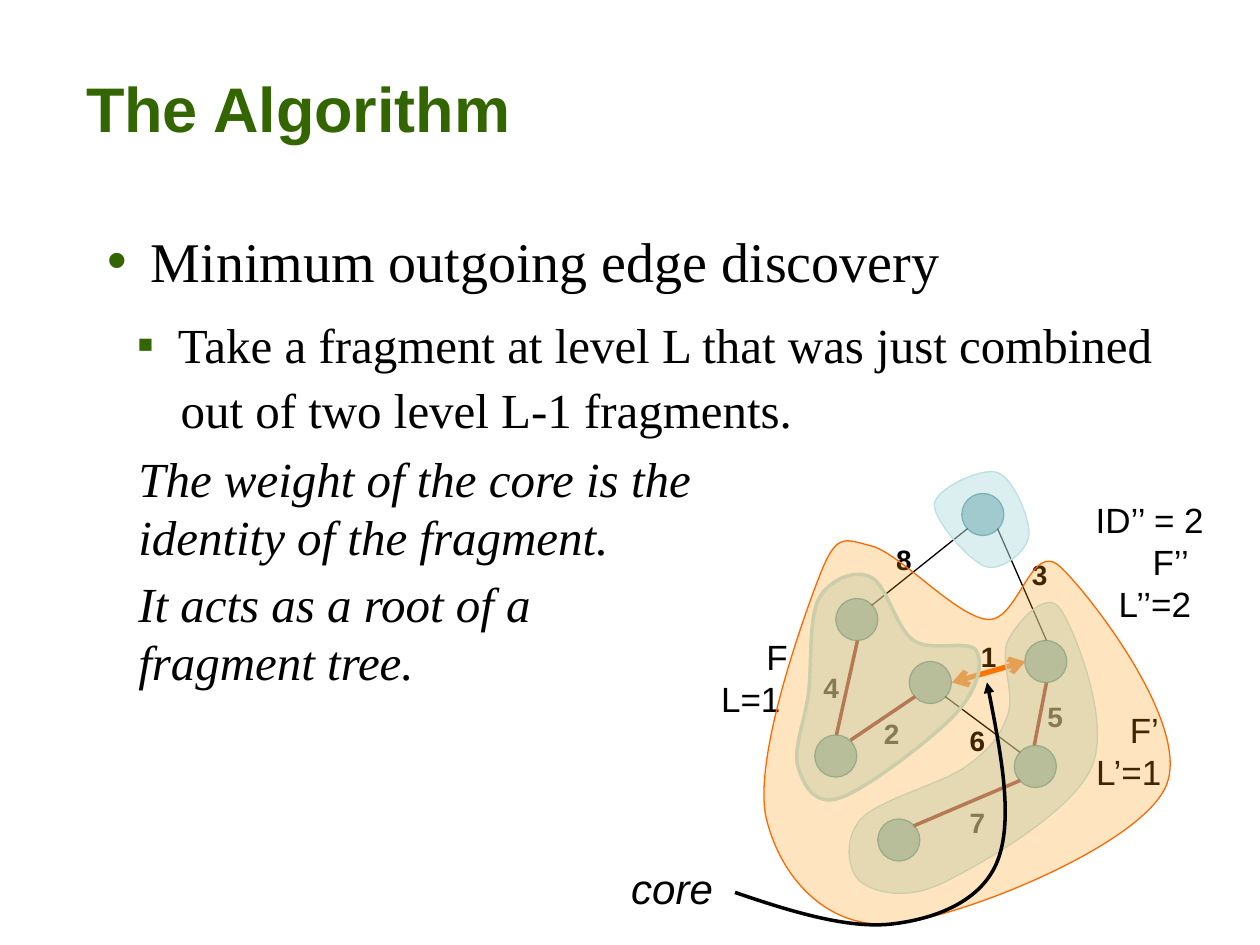
"""Build the slide on minimum outgoing edge discovery."""
from typing import NamedTuple, Optional

from lxml.etree import SubElement
from pptx import Presentation
from pptx.dml.color import RGBColor
from pptx.enum.shapes import MSO_CONNECTOR, MSO_SHAPE
from pptx.enum.text import MSO_ANCHOR, MSO_AUTO_SIZE, PP_ALIGN
from pptx.oxml.ns import qn
from pptx.util import Pt

GREEN = RGBColor(0x33, 0x66, 0x00)
BLACK = RGBColor(0x00, 0x00, 0x00)
TEAL = RGBColor(0x39, 0x85, 0x8B)
PALE = RGBColor(0xBB, 0xE0, 0xE3)
BROWN = RGBColor(0x80, 0x00, 0x00)
AMBER = RGBColor(0xFF, 0x99, 0x00)
ORANGE = RGBColor(0xFF, 0x66, 0x00)
SANS = "Arial"
SERIF = "Times New Roman"
NODE = 24


class Label(NamedTuple):
    text: str
    left: float
    top: float
    width: float = 18
    height: float = 30
    size: float = 16
    bold: bool = True
    italic: bool = False


class Edge(NamedTuple):
    start: tuple
    end: tuple
    color: RGBColor = BLACK
    width: float = 0.75
    arrow: bool = False


class Curve(NamedTuple):
    points: list
    line: RGBColor
    width: float = 0.75
    fill: Optional[RGBColor] = None
    alpha: int = 50


class Item(NamedTuple):
    text: str
    size: float
    mark: str
    left: float
    hang: float
    gap: float


NAMES = [
    Label("core", 342, 492, 84, 30, 24, False, True),
    Label("L=1", 399, 378, 60, 42, 20, False),
    Label("L’=1", 615, 420, 60, 42, 20, False),
    Label("F", 432, 360, 24, 30, 20, False),
    Label("F’", 636, 402, 36, 30, 20, False),
    Label("L’’=2", 624, 324, 72, 42, 20, False),
    Label("F’’", 651, 306, 36, 30, 20, False),
]
NODES = [(519.6, 378), (549.6, 282), (579.6, 426), (585.6, 366), (501.6, 468),
         (477.6, 342), (465.6, 420)]
EDGES = [
    Edge((498, 346), (553, 302)),
    Edge((544, 390), (586, 378), ORANGE, 3, True),
    Edge((598, 366), (570, 302)),
    Edge((523, 398), (486, 423), BROWN, 2),
    Edge((540, 398), (583, 430)),
    Edge((591, 426), (598, 390), BROWN, 2),
    Edge((583, 446), (522, 472), BROWN, 2),
    Edge((478, 420), (490, 366), BROWN, 2),
]
WEIGHTS = [
    Label("4", 466, 378), Label("3", 585, 313), Label("1", 556, 360), Label("7", 549.5, 455),
    Label("2", 500.5, 404), Label("5", 594, 394.5), Label("6", 549.5, 408),
]
PARTS = [
    Curve([(534, 288), (535, 279), (561, 267), (570, 270), (579, 273), (589, 297), (588, 306),
           (587, 315), (573, 326), (564, 324), (555, 322), (533, 297), (534, 288)],
          PALE, fill=PALE),
    Curve([(606, 348), (598, 336), (581, 356), (576, 366), (571, 376), (580, 396), (576, 408),
           (572, 420), (566, 428), (552, 438), (538, 448), (502, 457), (492, 468),
           (482, 479), (484, 498), (492, 504), (500, 510), (518, 515), (540, 504),
           (562, 493), (613, 464), (624, 438), (635, 412), (614, 360), (606, 348)],
          PALE, fill=PALE),
    Curve([(468, 342), (462, 353), (464, 380), (462, 396), (460, 412), (453, 428), (456, 438),
           (459, 448), (465, 461), (480, 456), (495, 451), (533, 422), (546, 408),
           (559, 394), (562, 379), (558, 372), (554, 365), (532, 373), (522, 366),
           (512, 359), (507, 335), (498, 330), (489, 325), (474, 331), (468, 342)],
          PALE, 2, PALE),
]
WHOLE = Curve([(468, 330), (478, 304), (482, 308), (498, 312), (514, 316), (546, 352), (564, 354),
               (582, 356), (589, 308), (606, 324), (623, 340), (682, 416), (666, 450),
               (650, 484), (548, 525), (510, 528), (472, 531), (446, 501), (438, 468),
               (430, 435), (458, 356), (468, 330)], ORANGE, fill=AMBER, alpha=25)
POINTER = Curve([(420, 510), (452, 521), (485, 531), (510, 528), (535, 525), (561, 515),
                 (570, 492), (579, 469), (572, 430), (564, 390)], BLACK, 2)
ITEMS = [
    Item("Minimum outgoing edge discovery", 32, "•", 25, 25, 0),
    Item("Take a fragment at level L that was just combined", 28, "▪", 40.5, 23.5, 11.5),
    Item("out of two level L-1 fragments.", 28, "", 42, 0, 4),
]


def write(para, text: str, size: float = 28, font: str = SERIF, color: RGBColor = BLACK,
          bold: bool = False, italic: bool = False, align=PP_ALIGN.LEFT) -> None:
    para.alignment = align
    run = para.add_run()
    run.text = text
    face = run.font
    face.size, face.name, face.bold, face.italic = Pt(size), font, bold, italic
    face.color.rgb = color


def place(shape, left: float, top: float, width: float, height: float) -> None:
    shape.left, shape.top, shape.width, shape.height = map(Pt, (left, top, width, height))
    frame = shape.text_frame
    frame.auto_size = MSO_AUTO_SIZE.NONE
    frame.word_wrap = True
    frame.vertical_anchor = MSO_ANCHOR.TOP
    frame.margin_left = frame.margin_right = Pt(7.2)
    frame.margin_top = Pt(3.6)


def list_item(para, item: Item) -> None:
    write(para, item.text, item.size)
    para.space_before = Pt(item.gap)
    props = para._p.get_or_add_pPr()
    props.set("marL", str(Pt(item.left)))
    props.set("indent", str(-Pt(item.hang)))
    if item.mark:
        color = SubElement(props, qn("a:buClr"))
        SubElement(color, qn("a:srgbClr"), val=str(GREEN))
        SubElement(props, qn("a:buFont"), typeface=SANS)
        SubElement(props, qn("a:buChar"), char=item.mark)
    else:
        SubElement(props, qn("a:buNone"))


def draw_note(slide, text: str, top: float) -> None:
    box = slide.shapes.add_textbox(0, 0, 0, 0)
    place(box, 72, top, 335, 75)
    write(box.text_frame.paragraphs[0], text, italic=True)


def draw_label(slide, tag: Label) -> None:
    box = slide.shapes.add_textbox(*map(Pt, (tag.left, tag.top, tag.width, tag.height)))
    frame = box.text_frame
    frame.word_wrap = False
    frame.margin_left = frame.margin_right = 0
    frame.vertical_anchor = MSO_ANCHOR.MIDDLE
    write(frame.paragraphs[0], tag.text, size=tag.size, font=SANS, bold=tag.bold,
          italic=tag.italic, align=PP_ALIGN.CENTER)


def paint(shape, fill: Optional[RGBColor], alpha: int, line: RGBColor, width: float) -> None:
    shape.shadow.inherit = False
    if fill is None:
        shape.fill.background()
    else:
        shape.fill.solid()
        shape.fill.fore_color.rgb = fill
        color = shape._element.spPr.find(qn("a:solidFill"))[0]
        SubElement(color, qn("a:alpha"), val=str(alpha * 1000))
    shape.line.color.rgb = line
    shape.line.width = Pt(width)


def add_tip(shape, end: str, kind: str) -> None:
    SubElement(shape.line._get_or_add_ln(), qn(f"a:{end}"), type=kind)


def draw_node(slide, left: float, top: float) -> None:
    node = slide.shapes.add_shape(MSO_SHAPE.OVAL, *map(Pt, (left, top, NODE, NODE)))
    paint(node, TEAL, 60, TEAL, 0.75)


def draw_edge(slide, edge: Edge) -> None:
    line = slide.shapes.add_connector(MSO_CONNECTOR.STRAIGHT, *map(Pt, edge.start + edge.end))
    line.line.color.rgb = edge.color
    line.line.width = Pt(edge.width)
    if edge.arrow:
        for end in ("headEnd", "tailEnd"):
            add_tip(line, end, "arrow")
    SubElement(line._element.spPr, qn("a:effectLst"))


def draw_curve(slide, curve: Curve):
    first, *rest = [(Pt(x), Pt(y)) for x, y in curve.points]
    pen = slide.shapes.build_freeform(*first)
    pen.add_line_segments(rest, close=curve.fill is not None)
    shape = pen.convert_to_shape()
    steps = shape._element.xpath(".//a:lnTo")
    for i in range(0, len(rest), 3):
        bend = steps[i]
        bend.tag = qn("a:cubicBezTo")
        for step in steps[i + 1:i + 3]:
            bend.append(step[0])
            step.getparent().remove(step)
    paint(shape, curve.fill, curve.alpha, curve.line, curve.width)
    return shape


def main() -> None:
    deck = Presentation()
    deck.slide_width, deck.slide_height = Pt(720), Pt(540)
    slide = deck.slides.add_slide(deck.slide_layouts[1])
    title, body = slide.placeholders
    place(title, 42, 36, 642, 50.5)
    write(title.text_frame.paragraphs[0], "The Algorithm", size=36, font=SANS,
          color=GREEN, bold=True)
    place(body, 54, 126, 620, 128)
    frame = body.text_frame
    for i, item in enumerate(ITEMS):
        list_item(frame.add_paragraph() if i else frame.paragraphs[0], item)
    draw_note(slide, "The weight of the core is the identity of the fragment.", 252.5)
    for tag in NAMES:
        draw_label(slide, tag)
    for spot in NODES:
        draw_node(slide, *spot)
    for edge in EDGES:
        draw_edge(slide, edge)
    for tag in WEIGHTS:
        draw_label(slide, tag)
    for part in PARTS:
        draw_curve(slide, part)
    draw_label(slide, Label("8", 507.5, 304.5))
    draw_label(slide, Label("ID’’ = 2", 616, 282, 82, 30, 20, False))
    draw_curve(slide, WHOLE)
    add_tip(draw_curve(slide, POINTER), "tailEnd", "triangle")
    draw_note(slide, "It acts as a root of a fragment tree.", 324)
    deck.save("out.pptx")


if __name__ == "__main__":
    main()
